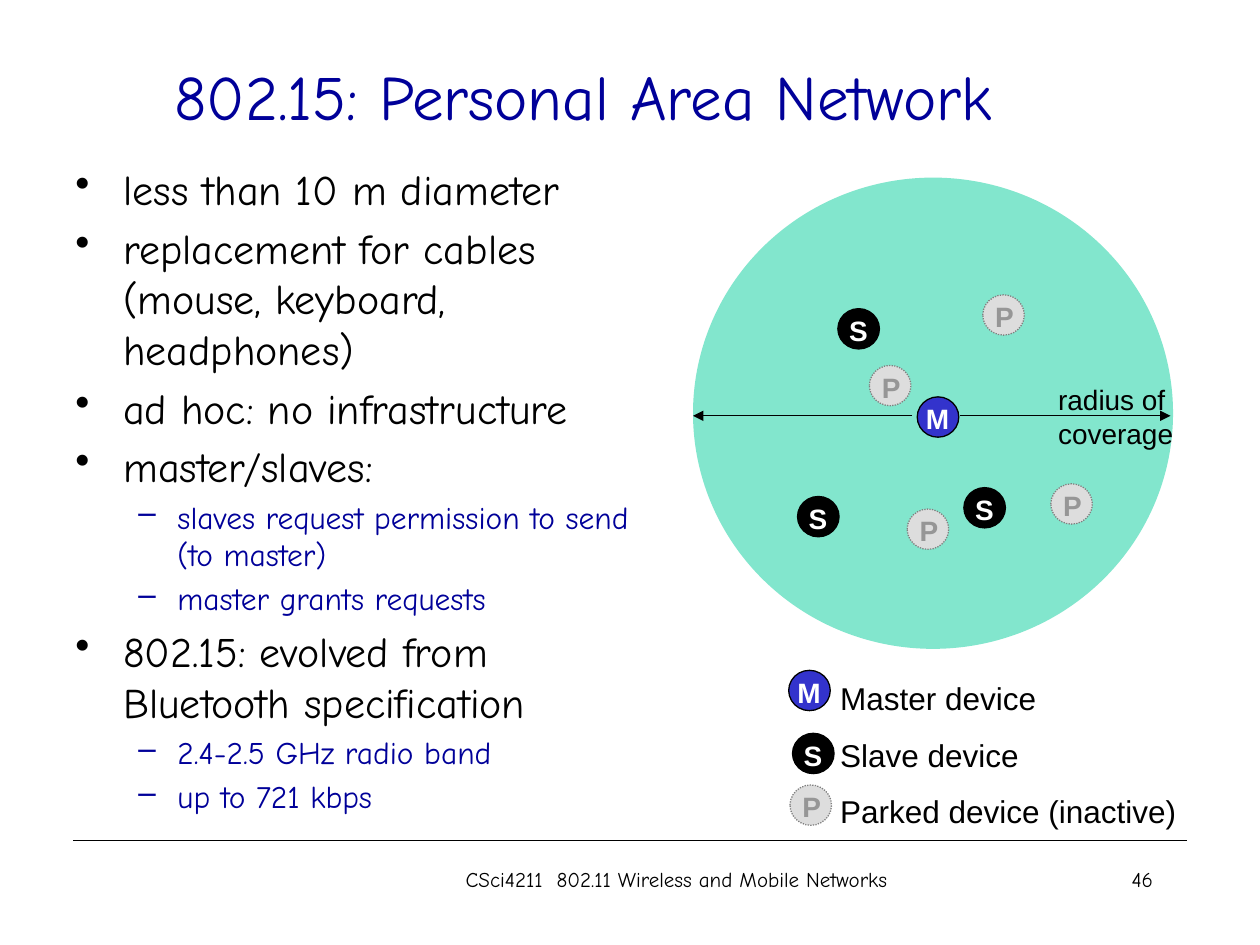
from lxml import etree
from pptx import Presentation, util as u
from pptx.dml.color import RGBColor
from pptx.enum import dml, shapes, text
from pptx.oxml.ns import qn

BLACK = RGBColor(0, 0, 0)
WHITE = RGBColor(255, 255, 255)
NAVY = RGBColor(0, 0, 0x99)
BLUE = RGBColor(0x33, 0x33, 0xCC)
GREEN = RGBColor(0, 0xCC, 0x99)
PALE = RGBColor(0xDD, 0xDD, 0xDD)
GRAY = RGBColor(0x80, 0x80, 0x80)
SILVER = RGBColor(0x96, 0x96, 0x96)
HAND, SANS = "Comic Neue", "Arial"

TITLE = "802.15: Personal Area Network"
FOOTER = "CSci4211  802.11 Wireless and Mobile Networks"
PAGE = "46"
BODY = [  # level, text
    (0, "less than 10 m diameter"),
    (0, "replacement for cables (mouse, keyboard, headphones)"),
    (0, "ad hoc: no infrastructure"),
    (0, "master/slaves:"),
    (1, "slaves request permission to send (to master)"),
    (1, "master grants requests"),
    (0, "802.15: evolved from Bluetooth specification"),
    (1, "2.4-2.5 GHz radio band"),
    (1, "up to 721 kbps"),
]
LEVELS = [  # bullet, size, colour, left margin, hanging indent
    ("•", 24, BLACK, 0.38, 0.38),
    ("–", 18, NAVY, 0.81, 0.31),
]
DEVICE_STYLES = {  # fill, outline, dotted, letter colour, letter offset
    "M": (BLUE, BLACK, False, WHITE, -0.03),
    "S": (BLACK, BLACK, False, WHITE, -0.01),
    "P": (PALE, GRAY, True, SILVER, 0),
}
DEVICES = [  # kind, left, top
    ("M", 7.28, 3.15),
    ("S", 6.65, 2.45), ("S", 7.65, 3.87), ("S", 6.33, 3.94),
    ("P", 7.8, 2.34), ("P", 7.2, 4.04), ("P", 6.9, 2.9), ("P", 8.34, 3.84),
]
LEGEND_DEVICES = [("M", 6.26, 5.32), ("S", 6.29, 5.82), ("P", 6.27, 6.23)]
LEGEND = ["Master device", "Slave device", "Parked device (inactive)"]
DEVICE_SIZE = (0.33, 0.32)
COVERAGE = (5.5, 1.41, 3.81, 3.74)
RADIUS_Y = 3.3
RADII = [(7.62, 9.29), (7.24, 5.5)]  # from the master outwards


def inches(*lengths):
    return [u.Inches(length) for length in lengths]


def add_text(parent, box, lines, size, color, font=SANS, bold=None, align=None,
             spacing=None, wrap=True, anchor=text.MSO_ANCHOR.TOP):
    frame = parent.shapes.add_textbox(*inches(*box)).text_frame
    frame.word_wrap = wrap
    frame.vertical_anchor = anchor
    frame.text = "\n".join(lines)
    for paragraph in frame.paragraphs:
        paragraph.alignment = align
        paragraph.line_spacing = spacing
        style_runs(paragraph, size, color, font, bold)
    return frame


def style_runs(paragraph, size, color, font, bold=None):
    for run in paragraph.runs:
        run.font.name = font
        run.font.size = u.Pt(size)
        run.font.bold = bold
        run.font.color.rgb = color


def add_ellipse(parent, box, fill):
    shape = parent.shapes.add_shape(shapes.MSO_SHAPE.OVAL, *inches(*box))
    shape.shadow.inherit = False
    shape.fill.solid()
    shape.fill.fore_color.rgb = fill
    return shape


def add_line(slide, start, end, arrow=False):
    connector = slide.shapes.add_connector(
        shapes.MSO_CONNECTOR.STRAIGHT, *inches(*start, *end))
    connector.line.color.rgb = BLACK
    connector.line.width = u.Pt(0.75)
    properties = connector.element.spPr
    if arrow:
        etree.SubElement(properties.find(qn("a:ln")), qn("a:tailEnd"), type="triangle")
    etree.SubElement(properties, qn("a:effectLst"))


def add_device(slide, kind, left, top):
    fill, outline, dotted, color, offset = DEVICE_STYLES[kind]
    group = slide.shapes.add_group_shape()
    shape = add_ellipse(group, (left, top, *DEVICE_SIZE), fill)
    shape.line.color.rgb = outline
    shape.line.width = u.Pt(0.75)
    if dotted:
        shape.line.dash_style = dml.MSO_LINE.ROUND_DOT
    add_text(group, (left + offset, top - 0.01, 0.33, 0.37), [kind], 16, color, bold=True)


def add_body(slide):
    frame = slide.shapes.add_textbox(*inches(0.5, 1.25, 4.88, 6.03)).text_frame
    frame.word_wrap = True
    frame.text = "\n".join(line for _, line in BODY)
    for index, (paragraph, (level, _)) in enumerate(zip(frame.paragraphs, BODY)):
        bullet, size, color, margin, hanging = LEVELS[level]
        paragraph.level = level
        if index:
            paragraph.space_before = u.Pt(size * 0.2)
        properties = paragraph._p.get_or_add_pPr()
        properties.set("marL", str(u.Inches(margin)))
        properties.set("indent", str(-u.Inches(hanging)))
        etree.SubElement(properties, qn("a:buChar"), char=bullet)
        style_runs(paragraph, size, color, HAND)


def add_coverage(slide):
    circle = add_ellipse(slide, COVERAGE, GREEN)
    circle.line.fill.background()
    fill_color = circle.element.spPr.find(qn("a:solidFill"))[0]
    etree.SubElement(fill_color, qn("a:alpha"), val="49000")
    for start, end in RADII:
        add_line(slide, (start, RADIUS_Y), (end, RADIUS_Y), arrow=True)
    add_text(slide, (8.3, 2.99, 1.11, 0.64), ["radius of", "coverage"], 16, BLACK, wrap=False)


def main():
    presentation = Presentation()
    presentation.slide_width, presentation.slide_height = inches(10, 7.5)
    slide = presentation.slides.add_slide(presentation.slide_layouts[6])

    add_line(slide, (0.58, 6.67), (9.42, 6.67))
    add_text(slide, (7.17, 6.83, 2.08, 0.5), [PAGE], 12, BLACK, HAND,
             align=text.PP_ALIGN.RIGHT)
    add_coverage(slide)
    add_text(slide, (6.57, 5.19, 2.87, 1.45), LEGEND, 18, BLACK, spacing=1.5, wrap=False)
    for device in DEVICES + LEGEND_DEVICES:
        add_device(slide, *device)
    add_text(slide, (0.38, 0.3, 8.5, 0.92), [TITLE], 36, NAVY, HAND,
             align=text.PP_ALIGN.CENTER, anchor=text.MSO_ANCHOR.MIDDLE)
    add_body(slide)
    add_text(slide, (3.33, 6.83, 4.08, 0.5), [FOOTER], 12, BLACK, HAND,
             align=text.PP_ALIGN.CENTER)
    presentation.save("out.pptx")


if __name__ == "__main__":
    main()
